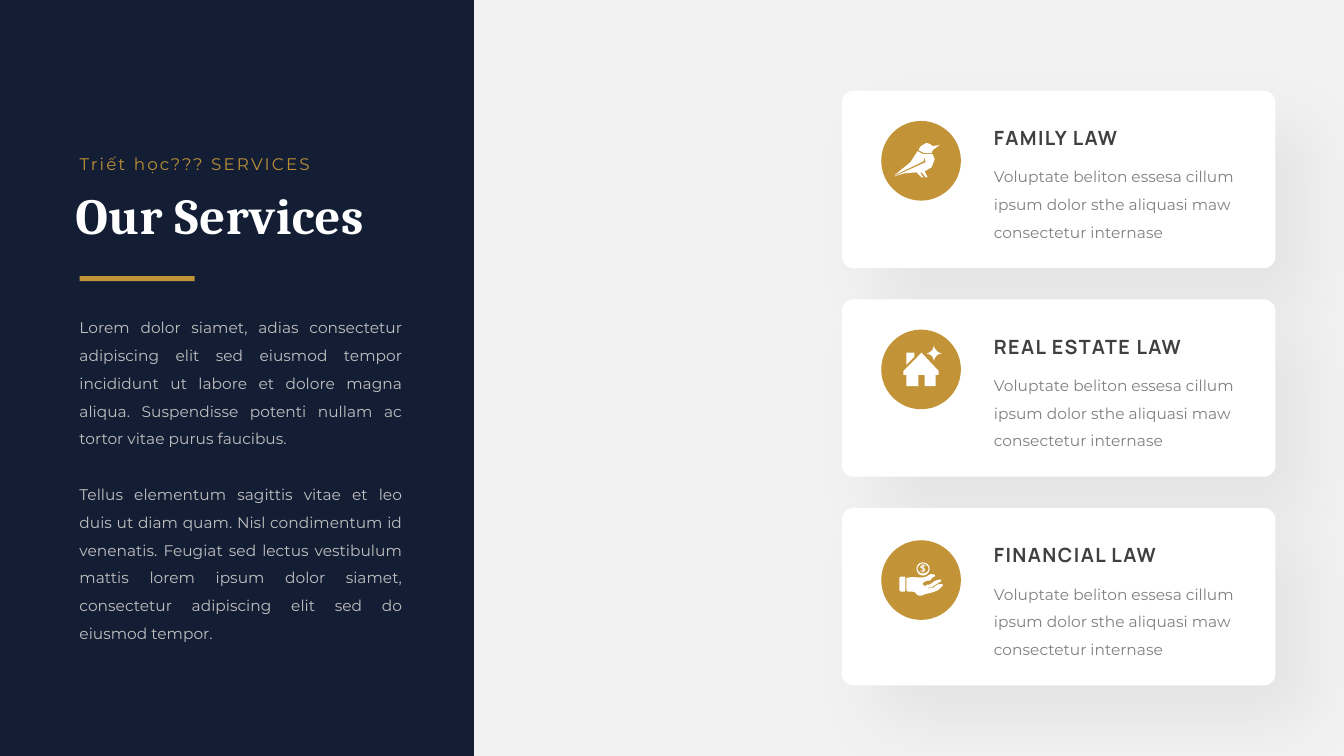
from lxml import etree
from pptx import Presentation
from pptx.dml.color import RGBColor
from pptx.enum.shapes import MSO_SHAPE
from pptx.enum.text import MSO_AUTO_SIZE, PP_ALIGN
from pptx.oxml.ns import qn
from pptx.util import Inches, Pt

RECT = MSO_SHAPE.RECTANGLE
ROUND = MSO_SHAPE.ROUNDED_RECTANGLE
OVAL = MSO_SHAPE.OVAL
GROW = MSO_AUTO_SIZE.SHAPE_TO_FIT_TEXT
JUSTIFY = PP_ALIGN.JUSTIFY

COLORS = {
    "background": "F2F2F2", "navy": "131E35", "gold": "C29437",
    "label": "BC8F36", "white": "FFFFFF", "body": "BFBFBF",
    "heading": "404040", "detail": "808080", "shadow": "000000",
}

STYLES = {
    "label": {"font": {"name": "Montserrat", "size": Pt(12)}, "color": "label", "spacing": 1.5},
    "title": {"font": {"name": "Cambria", "size": Pt(36), "bold": True}, "color": "white", "spacing": 0.4},
    "body": {"font": {"name": "Montserrat", "size": Pt(11)}, "color": "body",
             "para": {"line_spacing": 1.5, "alignment": JUSTIFY}},
    "heading": {"font": {"name": "Manrope", "size": Pt(14), "bold": True}, "color": "heading", "spacing": 1},
    "detail": {"font": {"name": "Montserrat", "size": Pt(11)}, "color": "detail",
               "para": {"line_spacing": 1.5}},
}

BIRD = """
M 36,30 L 42,33 51,33 53,38 50,46 43,50 46,56 44,56 C 44,56 42,53 41,52 40,51 40,51 40,51
39,51 39,52 39,52 L 42,56 40,56 35,51 23,52 13,55 44,41 43,36 42,40 13,54 19,49 29,41
M 45,22 C 48,22 51,25 51,25 L 58,24 51,29 50,32 43,32 37,29 C 38,26 40,24 43,23 44,22 44,22 45,22
"""
HOUSE = """
M 40,23 L 57,41 57,45 54,45 54,56 43,56 43,45 37,45 37,56 25,56 25,45 22,45 22,41
M 25,23 L 33,23 33,27 25,35
"""
SPARKLE = """
M 52,16 C 52,16 53,19 55,21 57,23 60,24 60,24 60,24 56,24 55,26 53,28 52,31 52,31
52,31 52,28 50,26 48,24 45,24 45,24 45,24 48,23 50,21 52,19 52,16 52,16
"""
CUFF = """
M 20,36 L 23,36 C 24,36 24,37 24,38 L 24,49 C 24,50 24,51 23,51 L 20,51
C 19,51 18,50 18,49 L 18,38 C 18,37 19,36 20,36
"""
PALM = """
M 51,34 C 52,34 53,34 53,34 53,35 54,36 53,36 52,36 51,37 50,38 49,40 48,40 47,40
45,40 42,42 42,42 L 42,41 C 40,44 42,45 42,45 42,45 42,44 43,45 43,46 45,46 45,46
45,46 44,45 44,45 44,44 48,44 48,44 49,43 52,42 52,41 56,39 58,39 59,39
60,40 59,41 59,41 59,41 52,45 51,46 49,47 46,47 46,47 L 47,48
C 48,47 52,47 52,47 55,43 60,43 61,44 62,45 60,46 57,49 54,51 50,52 46,53
43,53 42,55 39,55 36,55 35,54 34,52 L 31,51 27,51 C 25,51 25,48 25,48 L 25,38
C 25,38 26,37 27,37 32,36 35,37 36,37 38,37 40,37 41,37 42,37 44,36 45,36 48,34 49,33 51,34
"""
COIN = """
M 42,29 L 42,30 C 43,30 43,30 43,30 43,29 43,29 42,29
M 41,26 C 40,26 40,26 40,26 40,27 40,27 41,27
M 41,24 L 42,24 42,25 C 43,25 44,25 44,25 L 43,26 42,26 42,28 43,28 C 44,28 44,31 42,31
L 42,32 41,32 41,31 C 40,31 39,31 39,31 L 39,30 C 40,30 41,30 41,31 L 41,28 40,28
C 39,28 38,26 40,25 L 41,25
M 41,23 C 39,23 36,26 36,28 36,31 39,33 41,33 44,33 47,31 47,28 47,26 44,23 41,23
M 41,22 C 45,22 48,25 48,28 48,32 45,35 41,35 38,35 35,32 35,28 35,25 38,22 41,22
"""

INTRO = [
    "Lorem dolor siamet, adias consectetur adipiscing elit sed eiusmod tempor incididunt ut labore "
    "et dolore magna aliqua. Suspendisse potenti nullam ac tortor vitae purus faucibus.",
    "Tellus elementum sagittis vitae et leo duis ut diam quam. Nisl condimentum id venenatis. Feugiat "
    "sed lectus vestibulum mattis lorem ipsum dolor siamet, consectetur adipiscing elit sed do eiusmod tempor.",
]
DETAIL = "Voluptate beliton essesa cillum ipsum dolor sthe aliquasi maw consectetur internase"
SERVICES = [
    ("FAMILY LAW", [BIRD], 0.3),
    ("REAL ESTATE LAW", [HOUSE, SPARKLE], 0.3),
    ("FINANCIAL LAW", [CUFF, PALM, COIN], 0.32),
]
CARD_TOP, CARD_STEP = 0.9, 2.07
CURVE_STEPS = 6


def trace(parts):
    outlines, command, controls = [], "", []
    for token in " ".join(parts).split():
        if token.isalpha():
            command = token
            continue
        point = tuple(int(value) for value in token.split(","))
        if command == "M":
            outlines.append([point])
        elif command == "L":
            outlines[-1].append(point)
        else:
            controls.append(point)
            if len(controls) == 3:
                curve = [outlines[-1][-1], *controls]
                for step in range(1, CURVE_STEPS + 1):
                    t = step / CURVE_STEPS
                    weights = ((1 - t) ** 3, 3 * t * (1 - t) ** 2, 3 * t * t * (1 - t), t ** 3)
                    outlines[-1].append(tuple(
                        sum(w * c[axis] for w, c in zip(weights, curve)) for axis in (0, 1)))
                controls = []
    return outlines


class SlideBuilder:
    def __init__(self, slide):
        self.s = slide
        self.colors = {name: RGBColor.from_string(value) for name, value in COLORS.items()}
        fill = slide.background.fill
        fill.solid()
        fill.fore_color.rgb = self.colors["background"]

    def paint(self, sp, color):
        sp.shadow.inherit = False
        sp.fill.solid()
        sp.fill.fore_color.rgb = self.colors[color]
        sp.line.fill.background()
        return sp

    def shape(self, kind, box, color):
        return self.paint(self.s.shapes.add_shape(kind, *map(Inches, box)), color)

    def card(self, box):
        sp = self.shape(ROUND, box, "white")
        sp.adjustments[0] = 0.065
        effects = sp._element.spPr.find(qn("a:effectLst"))
        shadow = etree.SubElement(effects, qn("a:outerShdw"), {
            "blurRad": str(Pt(49)), "dist": str(Pt(35)), "dir": str(45 * 60000),
            "algn": "tl", "rotWithShape": "0"})
        color = etree.SubElement(shadow, qn("a:srgbClr"), val=COLORS["shadow"])
        etree.SubElement(color, qn("a:alpha"), val="6000")

    def text(self, box, paragraphs, style, wrap=True, gap=0):
        look = STYLES[style]
        tf = self.s.shapes.add_textbox(*map(Inches, box)).text_frame
        tf.word_wrap = wrap
        tf.auto_size = GROW
        for index, content in enumerate(paragraphs):
            p = tf.add_paragraph() if index else tf.paragraphs[0]
            for name, value in look.get("para", {}).items():
                setattr(p, name, value)
            if index:
                p.space_before = Pt(gap)
            r = p.add_run()
            r.text = content
            for name, value in look["font"].items():
                setattr(r.font, name, value)
            r.font.color.rgb = self.colors[look["color"]]
            if "spacing" in look:
                r._r.get_or_add_rPr().set("spc", str(int(look["spacing"] * 100)))

    def icon(self, left, top, parts):
        outlines = [[(Inches(left + x / 100), Inches(top + y / 100)) for x, y in outline]
                    for outline in trace(parts)]
        builder = self.s.shapes.build_freeform(*outlines[0][0])
        for index, outline in enumerate(outlines):
            if index:
                builder.move_to(*outline[0])
            builder.add_line_segments(outline[1:], close=True)
        self.paint(builder.convert_to_shape(), "white")


def main():
    prs = Presentation()
    prs.slide_width, prs.slide_height = Inches(13.33), Inches(7.5)
    page = SlideBuilder(prs.slides.add_slide(prs.slide_layouts[6]))

    page.shape(RECT, (0, 0, 4.7, 7.5), "navy")
    page.text((0.69, 1.48, 2.61, 0.3), ["Triết học??? SERVICES"], "label", wrap=False)
    page.text((0.65, 1.78, 3.4, 0.71), ["Our Services"], "title", wrap=False)
    page.shape(RECT, (0.79, 2.74, 1.14, 0.05), "gold")
    page.text((0.69, 3.02, 3.4, 3.4), INTRO, "body", gap=20)

    for index, (heading, parts, disc_drop) in enumerate(SERVICES):
        top = CARD_TOP + index * CARD_STEP
        page.card((8.35, top, 4.3, 1.76))
        page.shape(OVAL, (8.74, top + disc_drop, 0.79, 0.79), "gold")
        page.icon(8.74, top + disc_drop, parts)
        page.text((9.76, top + 0.3, 2.46, 0.34), [heading], "heading")
        page.text((9.76, top + 0.62, 2.69, 0.9), [DETAIL], "detail")

    prs.save("out.pptx")


if __name__ == "__main__":
    main()
